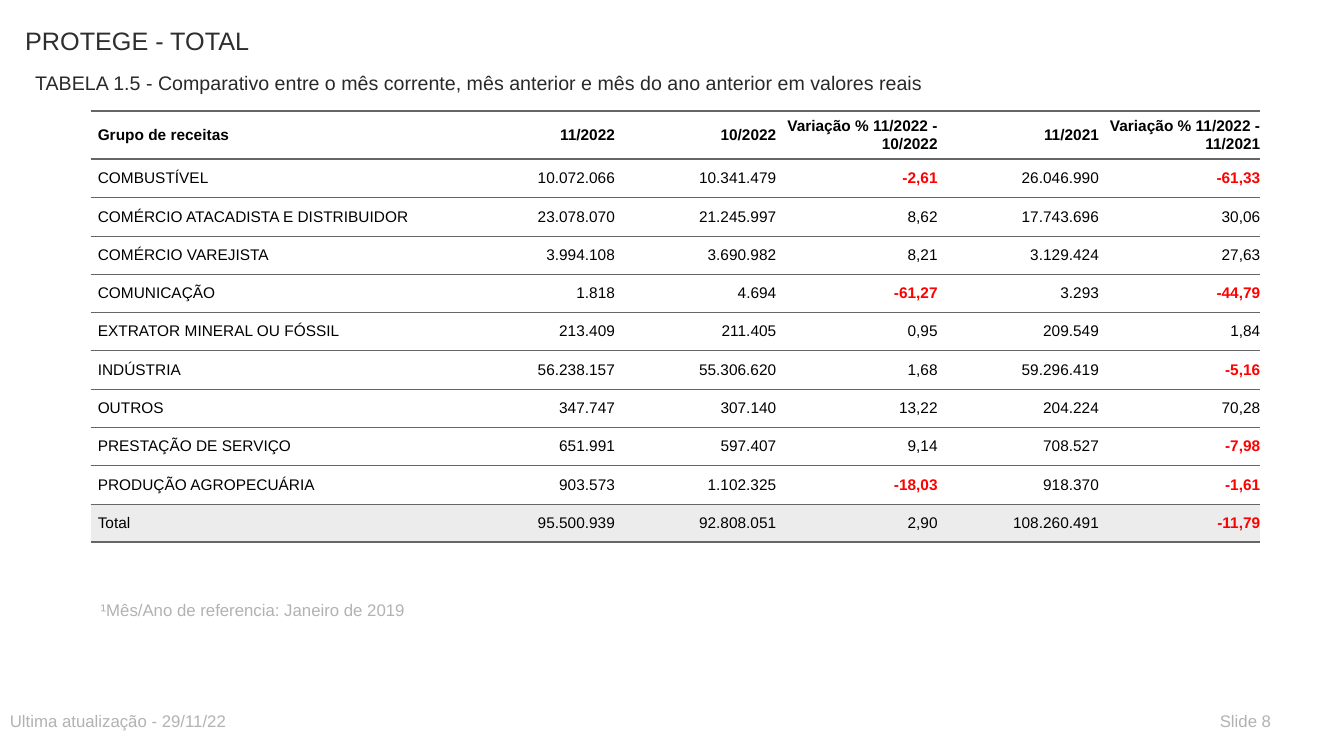
from lxml.etree import SubElement
from pptx import Presentation
from pptx.dml.color import RGBColor
from pptx.enum.text import MSO_ANCHOR, MSO_AUTO_SIZE, PP_ALIGN
from pptx.oxml.ns import qn
from pptx.util import Inches, Pt

INK, RED, GRAY, RULE = "000000", "FF0000", "B2B2B2", "666666"
WHITE, TOTAL_FILL = "FFFFFF", "ECECEC"
THIN, THICK = 0.5, 2
NO_GRID_STYLE = "{2D5ABB26-0587-4C30-8999-92F81FD0307C}"

COLUMN_WIDTHS = [3.6] + [1.6] * 5
HEADER_HEIGHT, ROW_HEIGHT = 0.48, 0.38
REVENUE = [
    ("Grupo de receitas", "11/2022", "10/2022", "Variação % 11/2022 - 10/2022",
     "11/2021", "Variação % 11/2022 - 11/2021"),
    ("COMBUSTÍVEL", "10.072.066", "10.341.479", "-2,61", "26.046.990", "-61,33"),
    ("COMÉRCIO ATACADISTA E DISTRIBUIDOR", "23.078.070", "21.245.997", "8,62", "17.743.696", "30,06"),
    ("COMÉRCIO VAREJISTA", "3.994.108", "3.690.982", "8,21", "3.129.424", "27,63"),
    ("COMUNICAÇÃO", "1.818", "4.694", "-61,27", "3.293", "-44,79"),
    ("EXTRATOR MINERAL OU FÓSSIL", "213.409", "211.405", "0,95", "209.549", "1,84"),
    ("INDÚSTRIA", "56.238.157", "55.306.620", "1,68", "59.296.419", "-5,16"),
    ("OUTROS", "347.747", "307.140", "13,22", "204.224", "70,28"),
    ("PRESTAÇÃO DE SERVIÇO", "651.991", "597.407", "9,14", "708.527", "-7,98"),
    ("PRODUÇÃO AGROPECUÁRIA", "903.573", "1.102.325", "-18,03", "918.370", "-1,61"),
    ("Total", "95.500.939", "92.808.051", "2,90", "108.260.491", "-11,79"),
]


def color(hex_value):
    return RGBColor.from_string(hex_value)


def set_all(target, values):
    for name, value in values.items():
        setattr(target, name, value)


def write(frame, text, size, hex_value, bold=False, align=PP_ALIGN.LEFT):
    para = frame.paragraphs[0]
    para.alignment = align
    span = para.add_run()
    span.text = text
    set_all(span.font, {"name": "Arial", "size": Pt(size), "bold": bold})
    span.font.color.rgb = color(hex_value)


def fill_text_shape(box, place, text, size, hex_value):
    """Place a title or text box and write one left-aligned line at its top."""
    set_all(box, dict(zip(("left", "top", "width", "height"), map(Inches, place))))
    set_all(box.text_frame, {"word_wrap": True, "auto_size": MSO_AUTO_SIZE.NONE,
                             "vertical_anchor": MSO_ANCHOR.TOP})
    write(box.text_frame, text, size, hex_value)


def add_label(page, place, text, size, hex_value):
    box = page.shapes.add_textbox(0, 0, 0, 0)
    fill_text_shape(box, place, text, size, hex_value)


def add_rule(cell, edge, points):
    line = SubElement(cell._tc.get_or_add_tcPr(), qn(f"a:{edge}"), w=str(Pt(points)))
    fill = SubElement(line, qn("a:solidFill"))
    SubElement(fill, qn("a:srgbClr"), val=RULE)


def format_cell(cell, text, row, column):
    last = len(REVENUE) - 1
    set_all(cell, {"margin_left": Inches(0 if column else 0.07), "margin_right": 0,
                   "margin_top": Inches(0.07), "margin_bottom": Inches(0.07),
                   "vertical_anchor": MSO_ANCHOR.MIDDLE})
    add_rule(cell, "lnT", THICK if row <= 1 else THIN)
    add_rule(cell, "lnB", THICK if row in (0, last) else THIN)
    cell.fill.solid()
    cell.fill.fore_color.rgb = color(TOTAL_FILL if row == last else WHITE)
    negative = text.startswith("-")
    write(cell.text_frame, text, 11, RED if negative else INK,
          bold=negative or row == 0,
          align=PP_ALIGN.RIGHT if column else PP_ALIGN.LEFT)


def add_revenue_table(page, left, top):
    height = HEADER_HEIGHT + ROW_HEIGHT * (len(REVENUE) - 1)
    table = page.shapes.add_table(
        len(REVENUE), len(COLUMN_WIDTHS), Inches(left), Inches(top),
        Inches(sum(COLUMN_WIDTHS)), Inches(height)).table
    set_all(table, {"first_row": False, "horz_banding": False})
    table._tbl.tblPr.find(qn("a:tableStyleId")).text = NO_GRID_STYLE
    for column, width in zip(table.columns, COLUMN_WIDTHS):
        column.width = Inches(width)
    for row, values in enumerate(REVENUE):
        table.rows[row].height = Inches(ROW_HEIGHT if row else HEADER_HEIGHT)
        for column, text in enumerate(values):
            format_cell(table.cell(row, column), text, row, column)


def main():
    deck = Presentation()
    set_all(deck, {"slide_width": Inches(13.33), "slide_height": Inches(7.5)})
    page = deck.slides.add_slide(deck.slide_layouts.get_by_name("Title Only"))
    fill_text_shape(page.shapes.title, (0.15, 0.2, 8, 0.59), "PROTEGE - TOTAL", 18, "2D2E2D")
    add_label(page, (0.25, 0.65, 10, 0.3),
              "TABELA 1.5 - Comparativo entre o mês corrente, mês anterior e "
              "mês do ano anterior em valores reais", 14, "292929")
    add_label(page, (0.9, 5.9, 6.5, 0.3), "¹Mês/Ano de referencia: Janeiro de 2019", 12, GRAY)
    add_revenue_table(page, 0.9, 1.1)
    add_label(page, (0, 7, 6.5, 0.3), "Ultima atualização - 29/11/22", 12, GRAY)
    add_label(page, (12, 7, 0.9, 0.3), "Slide 8", 12, GRAY)
    deck.save("out.pptx")


if __name__ == "__main__":
    main()
